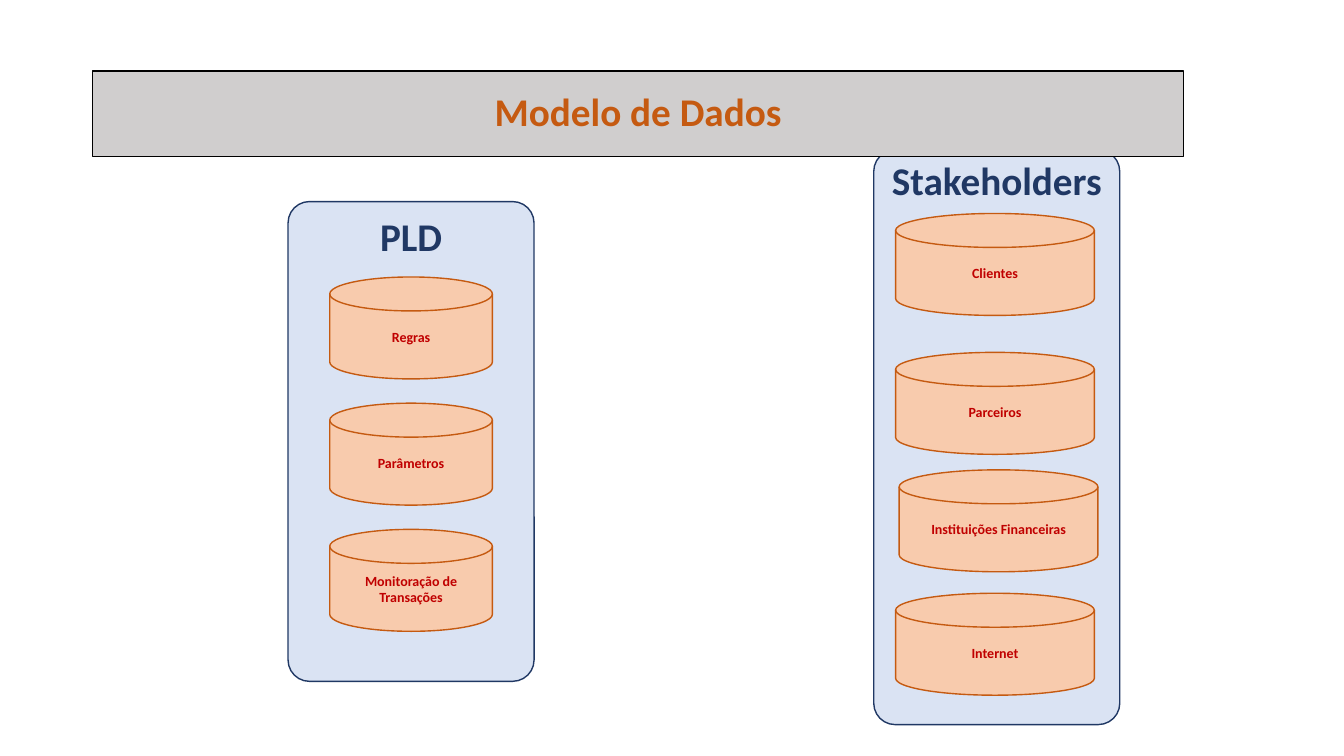
from pptx import Presentation
from pptx.dml.color import RGBColor
from pptx.enum.shapes import MSO_SHAPE as Shape
from pptx.enum.text import MSO_ANCHOR as Anchor, PP_ALIGN as Align
from pptx.util import Cm, Pt

TITLE = "Modelo de Dados"
PANELS = [
    {"name": "Stakeholders", "place": (22.02, 3.78, 6.2, 14.48), "spacing": 0.9,
     "disk_width": 5.01,
     "disks": [("Clientes", 22.57, 5.38), ("Parceiros", 22.57, 8.88),
               ("Instituições Financeiras", 22.66, 11.84), ("Internet", 22.57, 14.95)]},
    {"name": "PLD", "place": (7.26, 5.08, 6.2, 12.09), "spacing": 1.0,
     "disk_width": 4.1,
     "disks": [(name, 8.31, 6.98 + 3.18 * row) for row, name in
               enumerate(("Regras", "Parâmetros", "Monitoração de Transações"))]},
]
COLORS = {"panel": "DAE3F3", "navy": "203864", "disk": "F8CBAD", "orange": "C55A11",
          "red": "C00000", "bar": "D0CECE", "black": "000000"}
DISK_HEIGHT = 2.57
CORNER = 0.087


def color(name):
    return RGBColor.from_string(COLORS[name])


def add_box(kind, place, text, fill, line, ink, size, anchor=Anchor.MIDDLE,
            line_width=1, spacing=1.0):
    box = page.shapes.add_shape(kind, *map(Cm, place))
    box.shadow.inherit = False
    box.fill.solid()
    box.fill.fore_color.rgb = color(fill)
    box.line.color.rgb = color(line)
    box.line.width = Pt(line_width)
    frame = box.text_frame
    frame.word_wrap = True
    frame.vertical_anchor = anchor
    para = frame.paragraphs[0]
    para.text = text
    para.alignment = Align.CENTER
    para.line_spacing = spacing
    font = para.font
    font.name, font.size, font.bold = "Calibri", Pt(size), True
    font.color.rgb = color(ink)
    return box


deck = Presentation()
deck.slide_width, deck.slide_height = Cm(33.87), Cm(19.05)
page = deck.slides.add_slide(deck.slide_layouts[6])

for panel in PANELS:
    box = add_box(Shape.ROUNDED_RECTANGLE, panel["place"], panel["name"], "panel", "navy",
                  "navy", 28, Anchor.TOP, spacing=panel["spacing"])
    box.adjustments[0] = CORNER
    box.text_frame.margin_left = box.text_frame.margin_right = 0
    for name, left, top in panel["disks"]:
        add_box(Shape.FLOWCHART_MAGNETIC_DISK, (left, top, panel["disk_width"], DISK_HEIGHT),
                name, "disk", "orange", "red", 10)

add_box(Shape.RECTANGLE, (2.34, 1.79, 27.48, 2.15), TITLE, "bar", "black", "orange", 28,
        line_width=0.75, spacing=0.9)

deck.save("out.pptx")
